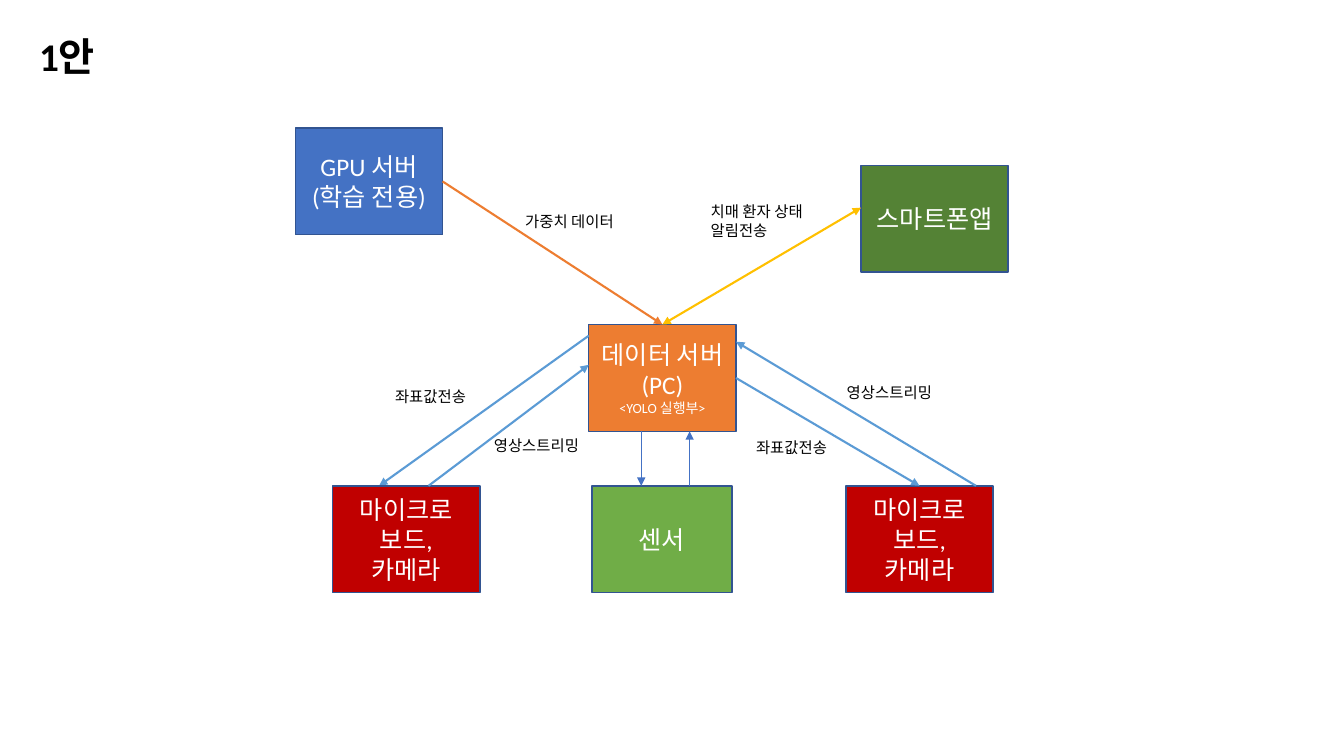
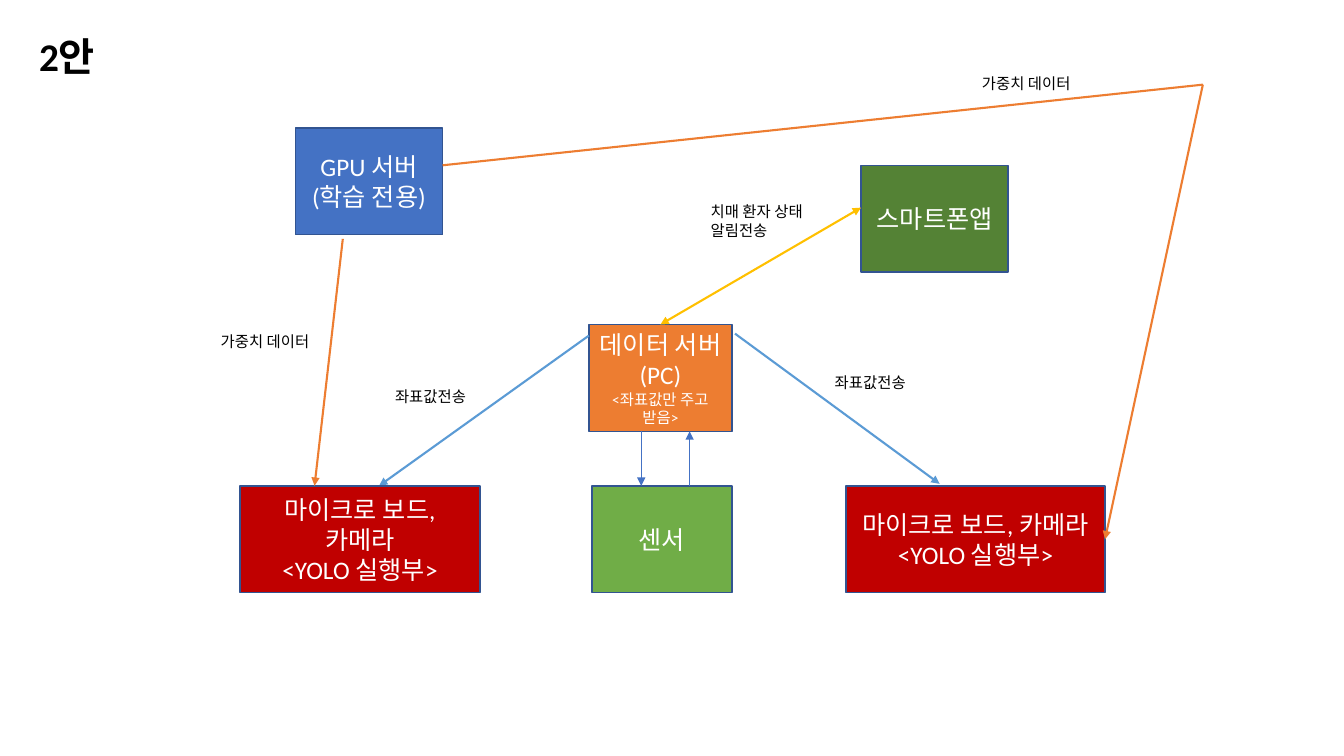
"""Draw two plans for a patient alert system as box and arrow charts."""
from dataclasses import dataclass

from lxml.etree import SubElement
from pptx import Presentation
from pptx.dml.color import RGBColor
from pptx.enum.shapes import MSO_CONNECTOR, MSO_SHAPE
from pptx.enum.text import MSO_ANCHOR, MSO_AUTO_SIZE, PP_ALIGN
from pptx.oxml.ns import qn
from pptx.util import Inches, Pt


@dataclass(frozen=True)
class Theme:
    """Hold the colours, font and type sizes of the deck."""
    font: str = "Calibri"
    black: str = "000000"
    white: str = "FFFFFF"
    edge: str = "325491"
    blue: str = "4472C4"
    sky: str = "5B9BD5"
    orange: str = "ED7D31"
    gold: str = "FFC000"
    red: str = "C00000"
    green: str = "70AD47"
    dark: str = "548235"
    title: int = 28
    body: int = 18
    label: int = 11
    small: int = 10
    thin: float = 0.5
    thick: float = 1.5


THEME = Theme()
HIGH, WIDE = 1.06, 1.46
MID, LOW = 3.22, 4.82
WEIGHT, COORD, VIDEO = "가중치 데이터", "좌표값전송", "영상스트리밍"
BOARD, YOLO = "마이크로 보드, 카메라", "<YOLO 실행부>"


def rgb(code):
    """Turn a hex code into a colour."""
    return RGBColor.from_string(code)


def write(para, text, size=THEME.label, color=THEME.black, bold=False, align=None):
    """Add one run of text with its format to a paragraph."""
    para.alignment = align
    run = para.add_run()
    run.text = text
    run.font.name = THEME.font
    run.font.size = Pt(size)
    run.font.bold = bold
    run.font.color.rgb = rgb(color)


def box(slide, x, y, fill, *lines, width=WIDE, note=THEME.body):
    """Add a filled box; lines after the first take the note size."""
    shape = slide.shapes.add_shape(
        MSO_SHAPE.RECTANGLE, Inches(x), Inches(y), Inches(width), Inches(HIGH))
    shape.shadow.inherit = False
    shape.fill.solid()
    shape.fill.fore_color.rgb = rgb(fill)
    shape.line.color.rgb = rgb(THEME.edge)
    shape.line.width = Pt(1)
    frame = shape.text_frame
    frame.word_wrap = True
    frame.vertical_anchor = MSO_ANCHOR.MIDDLE
    for index, text in enumerate(lines):
        para = frame.add_paragraph() if index else frame.paragraphs[0]
        write(para, text, size=note if index else THEME.body,
              color=THEME.white, align=PP_ALIGN.CENTER)


def label(slide, text, x, y, width, height=0.29, **form):
    """Add a text box that wraps and grows with its text."""
    shape = slide.shapes.add_textbox(
        Inches(x), Inches(y), Inches(width), Inches(height))
    frame = shape.text_frame
    frame.word_wrap = True
    frame.auto_size = MSO_AUTO_SIZE.SHAPE_TO_FIT_TEXT
    write(frame.paragraphs[0], text, **form)


def arrow(slide, start, end, color, width=THEME.thick, ends=("tailEnd",)):
    """Add a line with a triangle at each named end."""
    points = [Inches(value) for value in (*start, *end)]
    link = slide.shapes.add_connector(MSO_CONNECTOR.STRAIGHT, *points)
    link.line.color.rgb = rgb(color)
    link.line.width = Pt(width)
    props = link.element.spPr
    for name in ends:
        SubElement(props.find(qn("a:ln")), qn(f"a:{name}"), type="triangle")
    SubElement(props, qn("a:effectLst"))


def base(deck, title, note, size, width, top):
    """Start a slide with the parts that both plans share."""
    slide = deck.slides.add_slide(deck.slide_layouts[6])
    label(slide, title, 0.29, 0.27, 3.36, 0.57, size=THEME.title, bold=True)
    box(slide, 2.93, 1.27, THEME.blue, "GPU 서버", "(학습 전용)")
    box(slide, 5.84, MID, THEME.orange, "데이터 서버(PC)", note, width=width, note=size)
    box(slide, 5.87, LOW, THEME.green, "센서", width=1.39)
    box(slide, 8.54, 1.64, THEME.dark, "스마트폰앱")
    arrow(slide, (5.84, 3.33), (3.76, LOW), THEME.sky)
    arrow(slide, (6.36, MID + HIGH), (6.36, LOW), THEME.blue, THEME.thin)
    arrow(slide, (6.84, LOW), (6.84, MID + HIGH), THEME.blue, THEME.thin)
    arrow(slide, (top, MID), (8.54, 2.06), THEME.gold, ends=("headEnd", "tailEnd"))
    label(slide, COORD, 3.82, 3.79, 1.03)
    label(slide, "치매 환자 상태 알림전송", 6.95, 1.96, 1.24, 0.47)
    return slide


def first(deck):
    """Draw the plan where the server runs the model."""
    slide = base(deck, "1안", YOLO, THEME.small, WIDE, 6.57)
    for x in (3.3, 8.39):
        box(slide, x, LOW, THEME.red, BOARD)
    arrow(slide, (4.25, LOW), (5.84, 3.62), THEME.sky)
    arrow(slide, (7.3, 3.75), (9.12, LOW), THEME.sky)
    arrow(slide, (9.68, LOW), (7.3, 3.39), THEME.sky)
    arrow(slide, (4.39, 1.8), (6.57, MID), THEME.orange)
    label(slide, WEIGHT, 5.11, 2.06, 1.32)
    label(slide, COORD, 7.4, 4.3, 1.08)
    label(slide, VIDEO, 4.8, 4.28, 1.14)
    label(slide, VIDEO, 8.3, 3.75, 1.14)


def second(deck):
    """Draw the plan where the boards run the model."""
    slide = base(deck, "2안", "<좌표값만 주고 받음>", THEME.label, 1.42, 6.55)
    for x, width in ((2.38, 2.38), (8.39, 2.57)):
        box(slide, x, LOW, THEME.red, BOARD, YOLO, width=width)
    arrow(slide, (7.29, 3.31), (9.32, 4.8), THEME.sky)
    arrow(slide, (3.4, 2.37), (3.12, LOW), THEME.orange)
    bend = (11.93, 0.84)
    arrow(slide, (4.39, 1.64), bend, THEME.orange, ends=())
    arrow(slide, bend, (10.96, 5.35), THEME.orange)
    label(slide, COORD, 8.18, 3.65, 1.08)
    label(slide, WEIGHT, 2.09, 3.25, 1.32)
    label(slide, WEIGHT, 9.64, 0.69, 1.32)


def main():
    """Build the deck and save it."""
    deck = Presentation()
    deck.slide_width = Inches(13.33)
    deck.slide_height = Inches(7.5)
    first(deck)
    second(deck)
    deck.save("out.pptx")


main()
